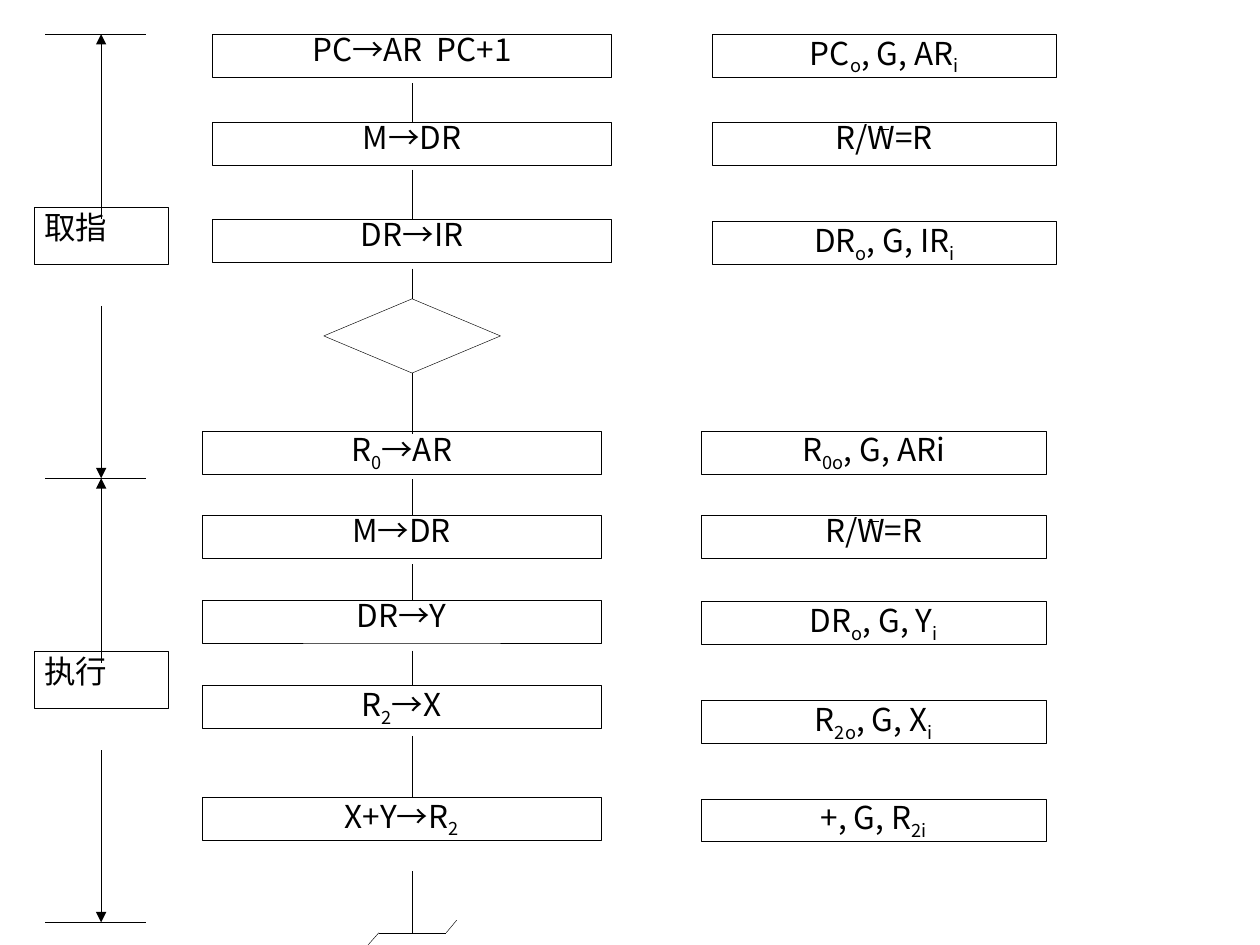
"""Build a flowchart slide of the fetch and execute steps with their control signals."""
from lxml import etree
from pptx import Presentation
from pptx.dml.color import RGBColor
from pptx.enum.shapes import MSO_CONNECTOR, MSO_SHAPE
from pptx.enum.text import MSO_ANCHOR, PP_ALIGN
from pptx.oxml.ns import qn
from pptx.util import Pt

BLACK = RGBColor(0, 0, 0)
FONT = "Noto Sans CJK SC"
RECT, DIAMOND = MSO_SHAPE.RECTANGLE, MSO_SHAPE.DIAMOND
STRAIGHT = MSO_CONNECTOR.STRAIGHT
CENTER, JUSTIFY = PP_ALIGN.CENTER, PP_ALIGN.JUSTIFY
TOP = MSO_ANCHOR.TOP

prs = Presentation()
prs.slide_width, prs.slide_height = Pt(720), Pt(540)
slide = prs.slides.add_slide(prs.slide_layouts[6])
shapes = slide.shapes


def add_box(left, top, width, height, text="", align=CENTER, side=0, edge=0, kind=RECT):
    """Add an outlined box; text between underscores is subscript."""
    box = shapes.add_shape(kind, Pt(left), Pt(top), Pt(width), Pt(height))
    box.shadow.inherit = False
    box.fill.background()
    box.line.color.rgb = BLACK
    box.line.width = Pt(0.25)
    frame = box.text_frame
    frame.word_wrap = True
    frame.vertical_anchor = TOP
    frame.margin_left = frame.margin_right = Pt(side)
    frame.margin_top = frame.margin_bottom = Pt(edge)
    para = frame.paragraphs[0]
    para.alignment = align
    para.line_spacing = 0.9
    for pos, part in enumerate(text.split("_")):
        if part:
            run = para.add_run()
            run.text = part
            run.font.size = Pt(18)
            run.font.name = FONT
            run.font.color.rgb = BLACK
            props = run.font._element
            etree.SubElement(props, qn("a:ea")).set("typeface", FONT)
            if pos % 2:
                props.set("baseline", "-25000")
    return box


def add_line(x1, y1, x2, y2, width=0.25, arrow=None):
    """Add a thin line, with an arrow at its headEnd or tailEnd if named."""
    line = shapes.add_connector(STRAIGHT, Pt(x1), Pt(y1), Pt(x2), Pt(y2))
    line.line.color.rgb = BLACK
    line.line.width = Pt(width)
    if arrow:
        etree.SubElement(line.line._get_or_add_ln(), qn("a:" + arrow)).set("type", "triangle")
    etree.SubElement(line._element.spPr, qn("a:effectLst"))
    return line


MID = 235.5
HIGH = 24.5
FETCH, EXEC = 121.5, 115.5
steps = [
    (FETCH, 19.5, "PC→AR  PC+1", 19.5, "PC_o_, G, AR_i_"),
    (FETCH, 69.8, "M→DR", 69.8, "R/W=R"),
    (FETCH, 125.5, "DR→IR", 126.5, "DR_o_, G, IR_i_"),
    (EXEC, 246.3, "R_0_→AR", 246.3, "R_0o_, G, ARi"),
    (EXEC, 294.6, "M→DR", 294.6, "R/W=R"),
    (EXEC, 343, "DR→Y", 343.7, "DR_o_, G, Y_i_"),
    (EXEC, 391.8, "R_2_→X", 400.2, "R_2o_, G, X_i_"),
    (EXEC, 455.5, "X+Y→R_2_", 456.5, "+, G, R_2i_"),
]
boxes = []
for left, top, text, level, signal in steps:
    boxes.append(add_box(left, top, 228, HIGH, text))
    add_box(left + 285.3, level, 197, HIGH, signal, side=5.8)
choice = add_box(185, 170.8, 101, 42.4, kind=DIAMOND)

for start, end, target in [
    (47.5, 69.8, boxes[1]), (97, 125.5, boxes[2]), (153.5, 170.8, choice),
    (274, 294.6, None), (322.5, 343, None), (371.8, 391.8, None),
    (420.5, 455.5, None), (498, 533, None),
]:
    link = add_line(MID, start, MID, end)
    if target:
        link.end_connect(target, 0)
add_line(MID, 213.2, MID, 248).begin_connect(choice, 2)

for x1, y1, x2, y2 in [
    (216.5, 533, 255, 533), (255, 533, 261, 525.8), (216.5, 533, 210.3, 540),
]:
    add_line(x1, y1, x2, y2)

SPAN = 253.8
for row in range(3):
    add_line(26, 19.5 + row * SPAN, 83.5, 19.5 + row * SPAN)
for row, phase in enumerate(["取指", "执行"]):
    top = 19.5 + row * SPAN
    add_line(57.8, top, 57.8, top + 105.8, arrow="headEnd")
    add_line(57.8, top + 155.3, 57.8, top + SPAN, arrow="tailEnd")
    add_box(19.5, top + 98.8, 76.5, 32.5, phase, JUSTIFY, 5.8, 2.9)

for left, top in [(502, 74), (496, 298)]:
    add_line(left, top, left + 6.3, top, 0.75)

prs.save("out.pptx")
